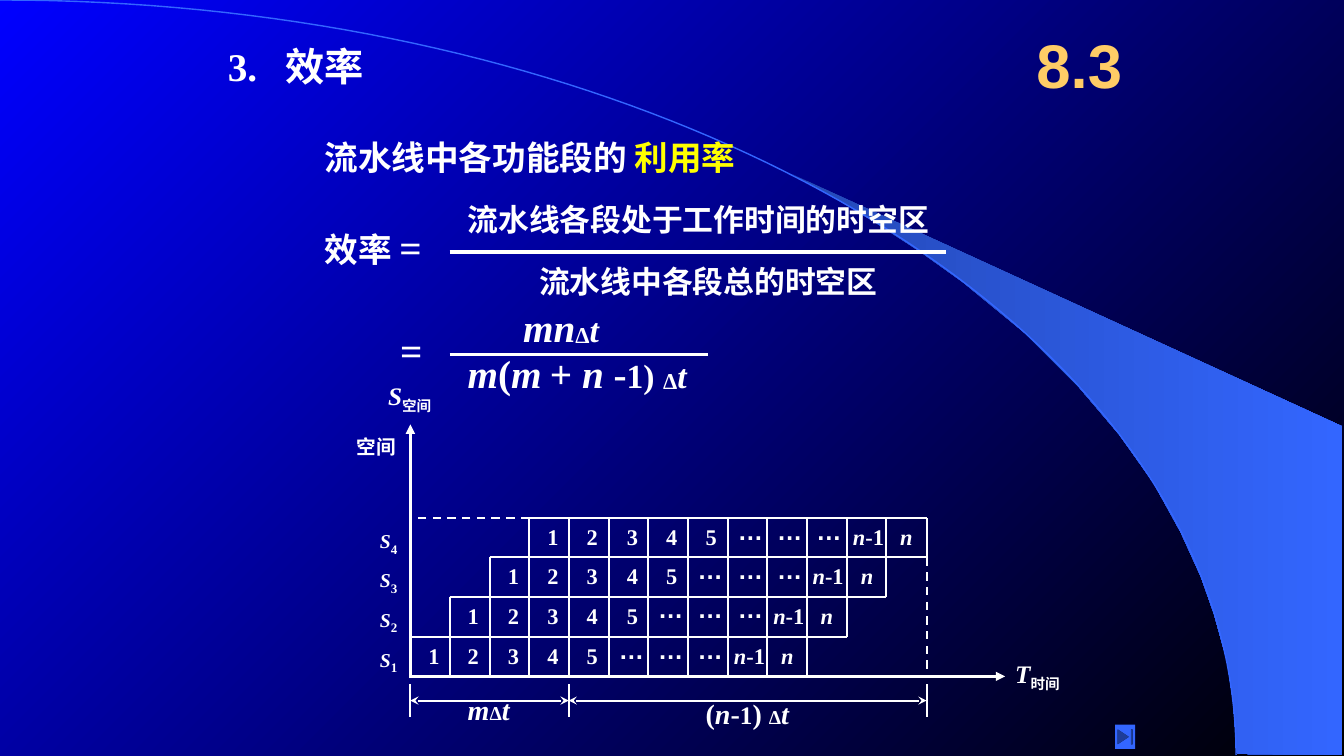
from dataclasses import dataclass

from lxml import etree
from pptx import Presentation
from pptx.dml.color import RGBColor
from pptx.enum import dml, shapes, text
from pptx.oxml.ns import qn
from pptx.util import Emu, Pt

PX = 9144  # 100 px to the inch


@dataclass(frozen=True)
class Theme:
    white: str = "FFFFFF"
    yellow: str = "FFFF00"
    gold: str = "FFCC66"
    blue: str = "3366FF"
    deep: str = "2449B6"
    night: tuple = ("0000FF", "000000")
    serif: str = "Times New Roman"
    sans: str = "Arial"
    number: int = 44
    title: int = 28
    body: int = 24
    ratio: int = 22
    span: int = 20
    axis: int = 18
    cell: int = 16
    small: int = 14
    thick: float = 2.25
    thin: float = 1.5


T = Theme()
RIBBON = [(1227, 748), (1331, 749), (1331, 423), (786, 173), (832, 199), (870, 222),
          (913, 250), (955, 280), (1016, 330), (1070, 384), (1110, 431), (1144, 479),
          (1171, 528), (1191, 572), (1204, 609), (1217, 656), (1223, 696)]
ARC = [(0, 0), (677, 0), (1226, 335), (1226, 749)]


def rgb(code):
    return RGBColor.from_string(code)


def px(n):
    return Emu(round(n * PX))


def col(i):
    """Left edge of time step i."""
    return round(407 + 39.35 * i)


def row(i):
    """Height of the line above i pipeline stages."""
    return round(671 - 39.3 * i)


def shade(fill, ends, angle):
    fill.gradient()
    fill.gradient_angle = angle
    for stop, code in zip(fill.gradient_stops, ends):
        stop.color.rgb = rgb(code)


def write(slide, box, runs, font=T.serif, inset=10, wrap=True, tab=0):
    """Add a text box; each run is (text, size, italic, baseline %, colour)."""
    frame = slide.shapes.add_textbox(*map(px, box)).text_frame
    frame.word_wrap = wrap
    frame.margin_left = frame.margin_right = px(inset)
    frame.margin_top = frame.margin_bottom = px(5)
    para = frame.paragraphs[0]
    if tab:
        stops = etree.SubElement(para._p.get_or_add_pPr(), qn("a:tabLst"))
        etree.SubElement(stops, qn("a:tab"), pos=str(px(tab)), algn="l")
    for words, size, *rest in runs:
        italic, base, code = (rest + [False, 0, T.white][len(rest):])
        run = para.add_run()
        run.text = words
        face = run.font
        face.name, face.size, face.bold, face.italic = font, Pt(size), True, italic
        face.color.rgb = rgb(code)
        if base:
            face._element.set("baseline", str(base * 1000))
    return frame


def rule(slide, start, end, width=T.thin, dash=False, head=None, tail=None):
    link = slide.shapes.add_connector(
        shapes.MSO_CONNECTOR.STRAIGHT, *map(px, start + end))
    link.line.color.rgb = rgb(T.white)
    link.line.width = Pt(width)
    if dash:
        link.line.dash_style = dml.MSO_LINE.DASH
    for tag, kind in (("a:headEnd", head), ("a:tailEnd", tail)):
        if kind:
            etree.SubElement(link.line._get_or_add_ln(), qn(tag), type=kind)
    etree.SubElement(link._element.spPr, qn("a:effectLst"))


def trace(slide, points, close):
    first, *others = [(px(x), px(y)) for x, y in points]
    pen = slide.shapes.build_freeform(*first)
    pen.add_line_segments(others, close=close)
    shape = pen.convert_to_shape()
    shape.shadow.inherit = False
    return shape


def bend(t):
    """Point at t on the cubic curve of the arc."""
    weights = ((1 - t) ** 3, 3 * t * (1 - t) ** 2, 3 * t * t * (1 - t), t ** 3)
    return tuple(sum(w * p[k] for w, p in zip(weights, ARC)) for k in (0, 1))


def backdrop(slide):
    shade(slide.background.fill, T.night, 315)
    ribbon = trace(slide, RIBBON, True)
    shade(ribbon.fill, (T.deep, T.blue), 0)
    ribbon.line.fill.background()
    arc = trace(slide, [bend(i / 80) for i in range(81)], False)
    arc.fill.background()
    arc.line.color.rgb = rgb(T.blue)
    arc.line.width = Pt(1)


def heading(slide):
    frame = write(slide, (1008, 17, 125, 92),
                  [("8.3", T.number, False, 0, T.gold)], T.sans)
    frame.vertical_anchor = text.MSO_ANCHOR.MIDDLE
    frame.paragraphs[0].alignment = text.PP_ALIGN.CENTER
    frame = write(slide, (226, 36, 258, 58), [("3.\t效率", T.title)],
                  inset=0, wrap=False, tab=57)
    frame.vertical_anchor = text.MSO_ANCHOR.MIDDLE
    write(slide, (312, 131, 902, 50), [
        ("流水线中各功能段的 ", T.body), ("利用率", T.body, False, 0, T.yellow)])


def formula(slide):
    big, mid = T.title, T.body
    write(slide, (312, 217, 134, 57), [("效率 ", mid), ("=", big)])
    write(slide, (454, 194, 638, 47), [("流水线各段处于工作时间的时空区", T.ratio)])
    write(slide, (525, 256, 520, 47), [("流水线中各段总的时空区", T.ratio)])
    rule(slide, (446, 250), (938, 250), T.thick)
    write(slide, (387, 319, 59, 57), [("=", big)])
    write(slide, (509, 296, 149, 57), [
        ("mn", big, True), ("Δ", big, False, -2), ("t", mid, True)])
    rule(slide, (446, 352), (702, 352), T.thick)
    write(slide, (454, 342, 354, 57), [
        ("m", big, True), ("(", big), ("m", big, True), (" ", mid, True),
        ("+ ", big), ("n ", big, True), ("-", big), ("1) ", mid),
        ("Δ", big, False, -2), ("t", mid, True)])


def grid(slide):
    for r in range(1, 5):
        rule(slide, (col(r - 1), row(r)), (col(min(r + 10, 13)), row(r)))
    for c in range(1, 14):
        rule(slide, (col(c), row(max(0, c - 10))), (col(c), row(min(c + 1, 4))))
    rule(slide, (col(3), row(4)), (col(0), row(4)), dash=True)
    rule(slide, (col(13), row(3)), (col(13), row(0)), dash=True)


def tasks(slide):
    """Fill every stage with tasks 1 to n, each stage one step later."""
    for r in range(4):
        top = row(r + 1)
        write(slide, (367, top + 3, 47, 33), [
            ("S", T.small, True), (str(r + 1), T.cell, False, -25)])
        for k in range(5):
            write(slide, (col(r + k) + 8, top, 40, 37), [(str(k + 1), T.cell)])
        for k in range(5, 8):
            write(slide, (col(r + k), top - 8, 60, 40), [("…", T.axis)], T.sans)
        write(slide, (col(r + 8), top, 80, 37),
              [("n", T.cell, True), ("-1", T.cell)], inset=6)
        write(slide, (col(r + 9) + 4, top, 40, 37), [("n", T.cell, True)])


def axes(slide):
    rule(slide, (407, 671), (997, 671), T.thick, tail="triangle")
    rule(slide, (407, 673), (407, 421), T.thick, tail="triangle")
    for box, sign, name in (((997, 648, 94, 40), "T", "时间"),
                            ((375, 372, 79, 40), "S", "空间")):
        write(slide, box, [(sign, T.axis, True), (name, T.axis, False, -25)])
    write(slide, (344, 427, 79, 33), [("空间", T.small)])


def spans(slide):
    marks = [col(0), col(4), col(13)]
    for x in marks:
        rule(slide, (x, 679), (x, 711))
    for left, right in zip(marks, marks[1:]):
        rule(slide, (left, 695), (right, 695), head="stealth", tail="stealth")
    delta = [("Δ", T.small), ("t", T.span, True)]
    write(slide, (454, 682, 149, 43), [("m", T.span, True)] + delta)
    write(slide, (690, 686, 149, 43), [
        ("(", T.span), ("n", T.span, True), ("-", T.span), ("1", T.axis),
        (") ", T.span)] + delta)


def button(slide):
    end = slide.shapes.add_shape(
        shapes.MSO_SHAPE.ACTION_BUTTON_END, *map(px, (1106, 719, 20, 24)))
    end.shadow.inherit = False
    end.fill.solid()
    end.fill.fore_color.rgb = rgb(T.blue)
    end.line.fill.background()


def main():
    deck = Presentation()
    deck.slide_width, deck.slide_height = px(1333), px(750)
    slide = deck.slides.add_slide(deck.slide_layouts[6])
    for draw in (backdrop, heading, formula, axes, grid, tasks, spans, button):
        draw(slide)
    deck.save("out.pptx")


if __name__ == "__main__":
    main()
